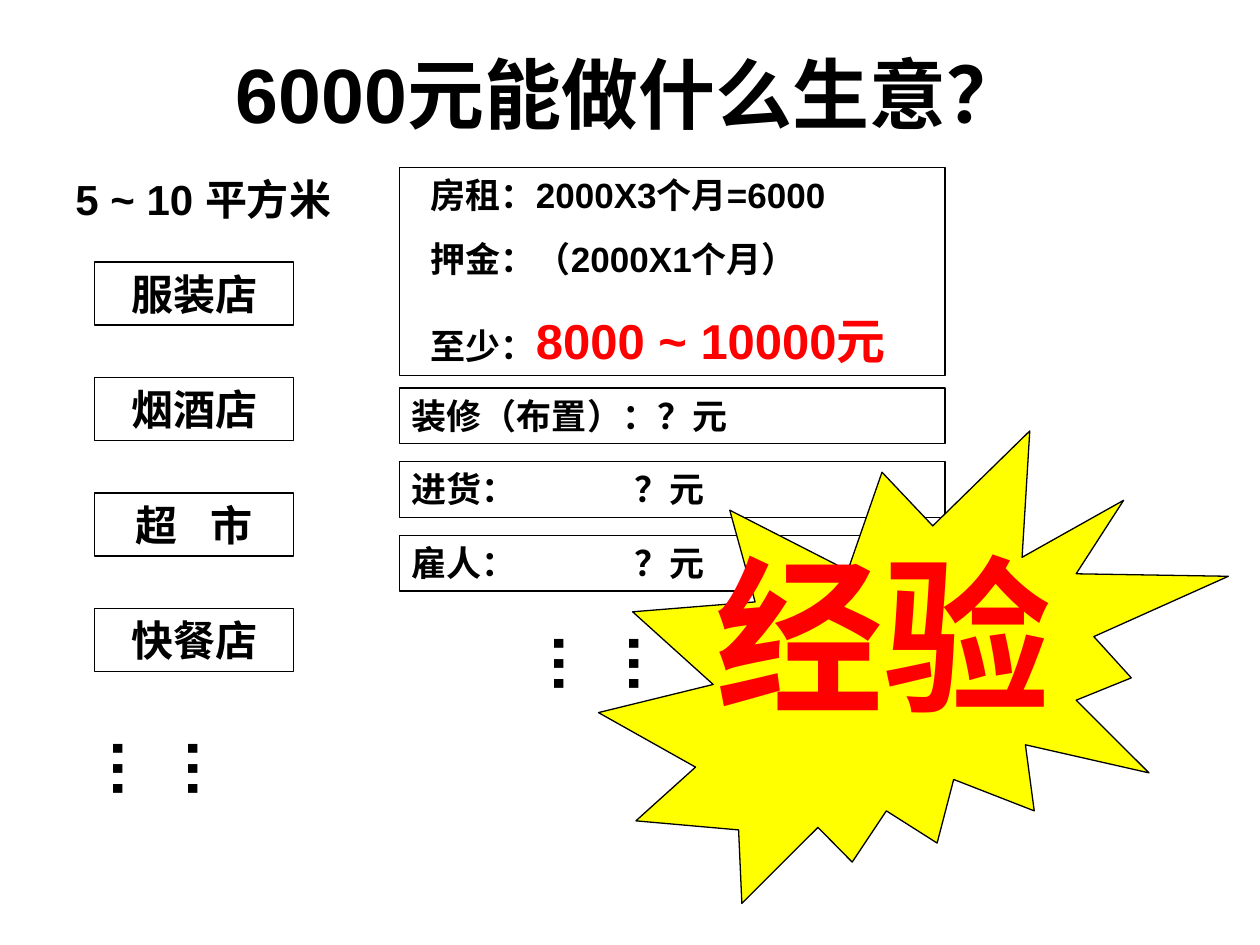
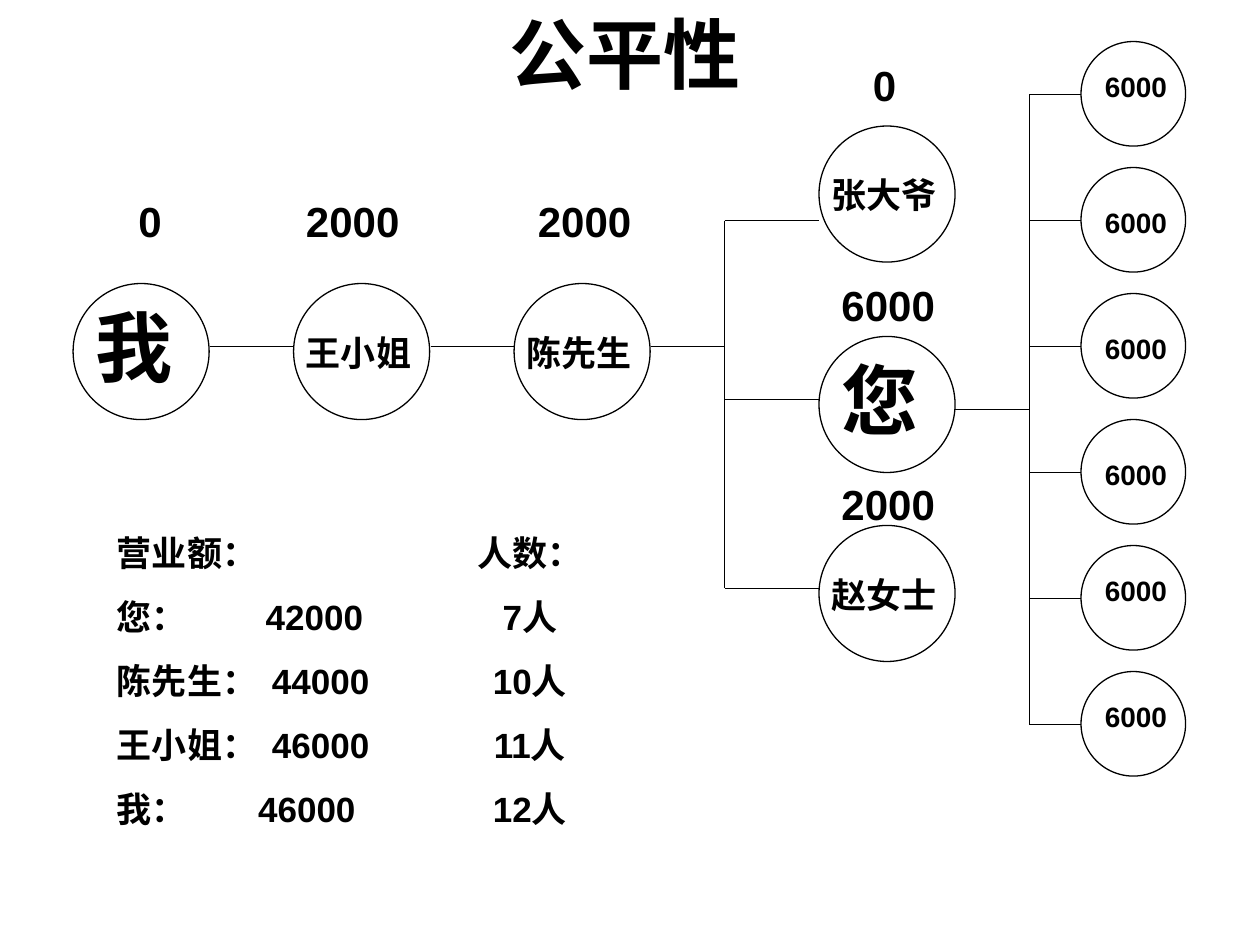
from dataclasses import dataclass
from typing import Any

from lxml.etree import SubElement
from pptx import Presentation
from pptx.dml.color import RGBColor
from pptx.enum.shapes import MSO_CONNECTOR as Connector, MSO_SHAPE as Preset
from pptx.enum.text import MSO_ANCHOR as Anchor, MSO_AUTO_SIZE as AutoSize, PP_ALIGN as Align
from pptx.oxml.ns import qn
from pptx.util import Inches, Pt

BLACK = RGBColor(0, 0, 0)
RED = RGBColor(255, 0, 0)
YELLOW = RGBColor(255, 255, 0)
FONT = "Arial"
LINE_WIDTH = Pt(0.75)
TITLE_SIZE, LABEL_SIZE, BODY_SIZE, SMALL_SIZE = 44, 24, 20, 16
FRAME_FORMAT = {
    "word_wrap": True, "auto_size": AutoSize.NONE, "vertical_anchor": Anchor.TOP,
    "margin_left": Inches(0.1), "margin_right": Inches(0.1),
    "margin_top": Inches(0.05), "margin_bottom": Inches(0.05),
}
VERTICAL_MARGINS = {
    "margin_left": Inches(0.05), "margin_right": Inches(0.05),
    "margin_top": Inches(0.1), "margin_bottom": Inches(0.1),
}


@dataclass(frozen=True)
class Box:
    left: float
    top: float
    width: float
    height: float

    def lengths(self) -> tuple:
        return tuple(Inches(v) for v in (self.left, self.top, self.width, self.height))


@dataclass(frozen=True)
class Piece:
    text: str
    size: float = BODY_SIZE
    color: RGBColor = BLACK
    spacing: float = 0


@dataclass(frozen=True)
class Row:
    pieces: tuple[Piece, ...]
    before: float = 0
    align: Align = Align.LEFT
    tab: float = 0
    indent: float = 0


@dataclass(frozen=True)
class Person:
    name: str
    left: float
    top: float
    amount: str
    amount_left: float
    amount_top: float
    main: bool = False


def apply_format(target: Any, values: dict[str, Any]) -> None:
    for name, value in values.items():
        setattr(target, name, value)


def row(text: str, size: float = BODY_SIZE, color: RGBColor = BLACK, **layout: Any) -> Row:
    return Row((Piece(text, size, color),), **layout)


def write(shape: Any, rows: list[Row], **frame_format: Any) -> None:
    frame = shape.text_frame
    apply_format(frame, FRAME_FORMAT | frame_format)
    for index, content in enumerate(rows):
        paragraph = frame.add_paragraph() if index else frame.paragraphs[0]
        apply_format(paragraph, {"alignment": content.align, "space_before": Pt(content.before)})
        properties = paragraph._p.get_or_add_pPr()
        if content.indent:
            properties.set("marL", str(Inches(content.indent)))
        if content.tab:
            tabs = SubElement(properties, qn("a:tabLst"))
            SubElement(tabs, qn("a:tab"), pos=str(Inches(content.tab)), algn="l")
        for piece in content.pieces:
            run = paragraph.add_run()
            run.text = piece.text
            apply_format(run.font, {"name": FONT, "size": Pt(piece.size), "bold": True})
            run.font.color.rgb = piece.color
            if piece.spacing:
                run._r.get_or_add_rPr().set("spc", str(round(piece.spacing * 100)))


def add_title_slide(presentation: Any, title: str, box: Box, anchor: Anchor) -> Any:
    slide = presentation.slides.add_slide(presentation.slide_layouts[5])
    shape = slide.shapes.title
    apply_format(shape, dict(zip(("left", "top", "width", "height"), box.lengths())))
    write(shape, [row(title, TITLE_SIZE, align=Align.CENTER)], vertical_anchor=anchor)
    return slide


def add_outline(slide: Any, preset: Preset, box: Box, fill: RGBColor | None = None) -> Any:
    shape = slide.shapes.add_shape(preset, *box.lengths())
    shape.shadow.inherit = False
    if fill is None:
        shape.fill.background()
    else:
        shape.fill.solid()
        shape.fill.fore_color.rgb = fill
    shape.line.color.rgb = BLACK
    shape.line.width = LINE_WIDTH
    return shape


def add_text(slide: Any, box: Box, *rows: Row, **frame_format: Any) -> Any:
    shape = slide.shapes.add_textbox(*box.lengths())
    write(shape, list(rows), **frame_format)
    return shape


def add_frame(slide: Any, box: Box, *rows: Row) -> None:
    write(add_outline(slide, Preset.RECTANGLE, box), list(rows))


def add_vertical_dots(slide: Any, left: float, top: float) -> None:
    shape = add_text(slide, Box(left, top, 0.8, 1.17), row("……", 36), **VERTICAL_MARGINS)
    shape.element.find(".//" + qn("a:bodyPr")).set("vert", "eaVert")


def add_line(slide: Any, x1: float, y1: float, x2: float, y2: float) -> None:
    ends = (Inches(v) for v in (x1, y1, x2, y2))
    line = slide.shapes.add_connector(Connector.STRAIGHT, *ends)
    line.line.color.rgb = BLACK
    line.line.width = LINE_WIDTH
    SubElement(line.element.spPr, qn("a:effectLst"))


def build_business_slide(presentation: Any) -> None:
    slide = add_title_slide(presentation, "6000元能做什么生意？", Box(0.5, 0.3, 9, 0.87), Anchor.MIDDLE)

    # Kinds of shop
    add_text(slide, Box(0.5, 1.33, 2.58, 0.5), row("5 ~ 10 平方米", LABEL_SIZE))
    spaced_market = (Piece("超 ", LABEL_SIZE, spacing=6.7), Piece("市", LABEL_SIZE))
    shops = [(Piece("服装店", LABEL_SIZE),), (Piece("烟酒店", LABEL_SIZE),),
             spaced_market, (Piece("快餐店", LABEL_SIZE),)]
    for index, pieces in enumerate(shops):
        add_frame(slide, Box(0.75, 2.08 + index * 0.917, 1.58, 0.5), Row(pieces, align=Align.CENTER))
    add_vertical_dots(slide, 1.25, 5.75)

    # Costs
    add_frame(
        slide, Box(3.17, 1.33, 4.33, 1.65),
        row("房租：2000X3个月=6000", indent=0.15),
        row("押金：（2000X1个月）", before=12.5, indent=0.15),
        Row((Piece("至少："), Piece("8000 ~ 10000元", 28, RED)), before=17.5, indent=0.15),
    )
    for index, cost in enumerate(["装修（布置）：？元", "进货：\t？元", "雇人：\t？元"]):
        add_frame(slide, Box(3.17, 3.08 + index * 0.585, 4.33, 0.44), row(cost, tab=1.77))
    add_vertical_dots(slide, 4.75, 4.92)

    # Burst
    add_outline(slide, Preset.EXPLOSION2, Box(4.75, 3.42, 5, 3.75), YELLOW)
    add_text(slide, Box(5.58, 4.17, 3.36, 1.7), row("经验", 96, RED))


def build_fairness_slide(presentation: Any) -> None:
    slide = add_title_slide(presentation, "公平性", Box(2.42, 0, 5.08, 0.84), Anchor.TOP)

    # People and their amounts
    diameter = 1.08
    people = [
        Person("我", 0.58, 2.25, "0", 1, 1.5, main=True),
        Person("王小姐", 2.33, 2.25, "2000", 2.33, 1.5),
        Person("陈先生", 4.08, 2.25, "2000", 4.17, 1.5),
        Person("张大爷", 6.5, 1, "0", 6.83, 0.42),
        Person("您", 6.5, 2.67, "6000", 6.58, 2.17, main=True),
        Person("赵女士", 6.5, 4.17, "2000", 6.58, 3.75),
    ]
    for person in people:
        add_outline(slide, Preset.OVAL, Box(person.left, person.top, diameter, diameter))
        if person.main:
            name_box = Box(person.left + 0.08, person.top + 0.08, 0.92, 0.84)
        else:
            name_box = Box(person.left, person.top + 0.33, diameter, 0.44)
        add_text(slide, name_box, row(person.name, TITLE_SIZE if person.main else BODY_SIZE))
        add_text(slide, Box(person.amount_left, person.amount_top, diameter, 0.5),
                 row(person.amount, LABEL_SIZE))

    # Chain and first branch
    branch_x, circle_x = 5.75, 6.5
    for start, end in [(1.67, 2.33), (3.42, 4.08), (5.17, branch_x)]:
        add_line(slide, start, 2.75, end, 2.75)
    for y in (1.75, 3.17, 4.67):
        add_line(slide, branch_x, y, circle_x, y)
    add_line(slide, branch_x, 1.75, branch_x, 4.67)

    # Second branch
    trunk_x, member_x = 8.17, 8.58
    for index, label_drop in enumerate([0.17, 0.25, 0.25, 0.25, 0.17, 0.17]):
        top = 0.33 + index
        add_outline(slide, Preset.OVAL, Box(member_x, top, 0.83, 0.83))
        add_line(slide, trunk_x, top + 0.42, member_x, top + 0.42)
        add_text(slide, Box(8.67, top + label_drop, 0.75, 0.37), row("6000", SMALL_SIZE))
    add_line(slide, trunk_x, 0.75, trunk_x, 5.75)
    add_line(slide, 7.58, 3.25, trunk_x, 3.25)

    # Turnover and head count
    turnover = [("您：\t42000", 1.18), ("陈先生：\t44000", 1.23),
                ("王小姐：\t46000", 1.23), ("我：\t46000", 1.12)]
    add_text(slide, Box(0.83, 4.17, 2.58, 2.46), row("营业额："),
             *(row(text, before=12.5, tab=tab) for text, tab in turnover))
    add_text(slide, Box(3.58, 4.17, 1.25, 2.46), row("人数：", align=Align.CENTER),
             *(row(f"{count}人", before=12.5, align=Align.CENTER) for count in (7, 10, 11, 12)))


def main() -> None:
    presentation = Presentation()
    presentation.slide_width = Inches(10)
    presentation.slide_height = Inches(7.5)
    build_business_slide(presentation)
    build_fairness_slide(presentation)
    presentation.save("out.pptx")


if __name__ == "__main__":
    main()
